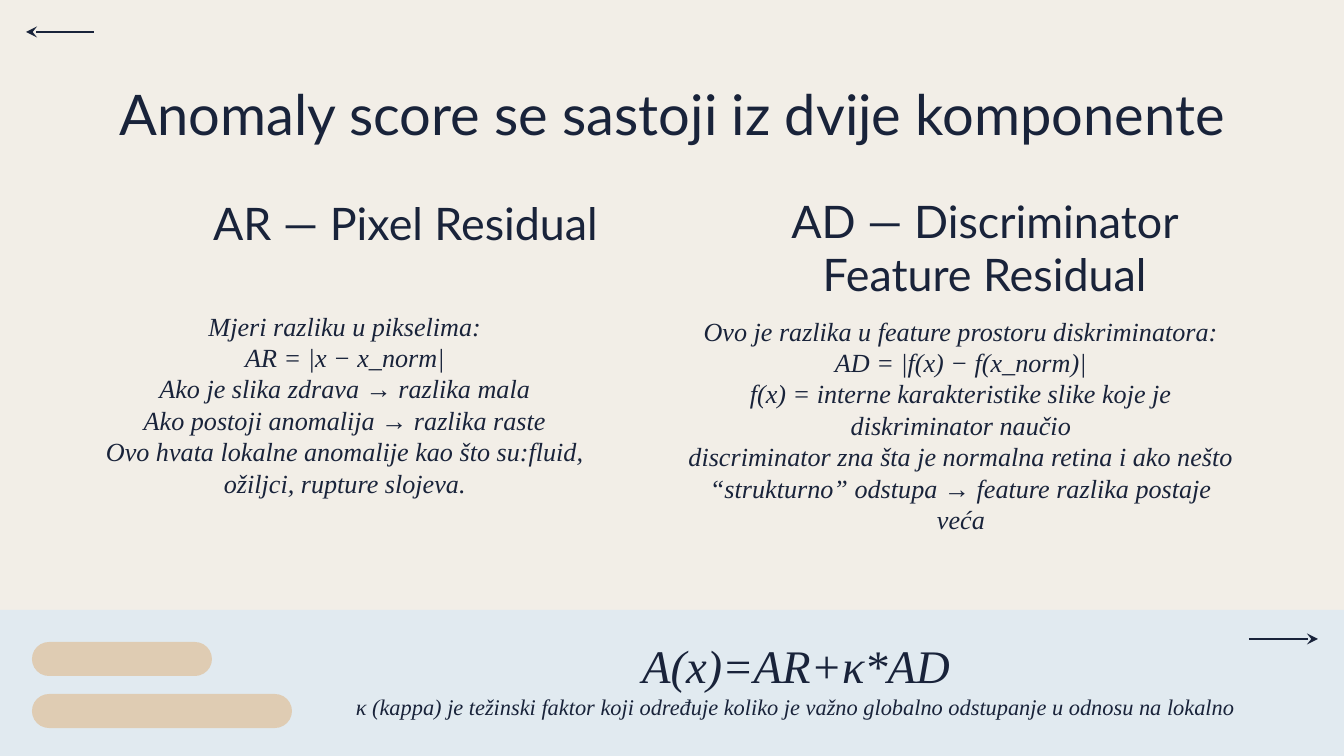
from lxml import etree
from pptx import Presentation
from pptx.dml.color import RGBColor
from pptx.enum.dml import MSO_LINE
from pptx.enum.shapes import MSO_CONNECTOR, MSO_SHAPE
from pptx.enum.text import MSO_ANCHOR, MSO_AUTO_SIZE, PP_ALIGN
from pptx.oxml.ns import qn
from pptx.util import Pt

SCALE = 914400 / 134.4
WIDTH, HEIGHT = 1344, 756
INSET = 13
PAPER = RGBColor(0xF2, 0xEE, 0xE7)
SKY = RGBColor(0xE1, 0xEA, 0xF0)
SAND = RGBColor(0xDF, 0xCC, 0xB3)
INK = RGBColor(0x19, 0x23, 0x3A)
SANS, SERIF = "Lato", "Times New Roman"
RECT, ROUND = MSO_SHAPE.RECTANGLE, MSO_SHAPE.ROUNDED_RECTANGLE
LINE, SOLID = MSO_CONNECTOR.STRAIGHT, MSO_LINE.SOLID
TOP, BOTTOM = MSO_ANCHOR.TOP, MSO_ANCHOR.BOTTOM
CENTER, NO_FIT = PP_ALIGN.CENTER, MSO_AUTO_SIZE.NONE

LEFT = [
    "Mjeri razliku u pikselima:",
    "AR = |x − x_norm|",
    "Ako je slika zdrava → razlika mala",
    "Ako postoji anomalija → razlika raste",
    "Ovo hvata lokalne anomalije kao što su:fluid, ožiljci, rupture slojeva.",
]
RIGHT = [
    "Ovo je razlika u feature prostoru diskriminatora:",
    "AD = |f(x) − f(x_norm)|",
    "f(x) = interne karakteristike slike koje je diskriminator naučio",
    "discriminator zna šta je normalna retina i ako nešto “strukturno” "
    "odstupa → feature razlika postaje veća",
]
SCORE = [
    "A(x)=AR+κ*AD",
    "κ (kappa) je težinski faktor koji određuje koliko je važno globalno "
    "odstupanje u odnosu na lokalno",
]


def px(n):
    return round(n * SCALE)


def place(shape, box):
    shape.left, shape.top, shape.width, shape.height = map(px, box)


def write(shape, lines, sizes, font=SERIF, italic=True, anchor=TOP,
          space=1.0, shift=0):
    frame = shape.text_frame
    frame.word_wrap = True
    frame.auto_size = NO_FIT
    frame.vertical_anchor = anchor
    frame.margin_left = frame.margin_right = px(INSET)
    frame.margin_top = frame.margin_bottom = px(INSET)
    frame.text = "\n".join(lines)
    for i, para in enumerate(frame.paragraphs):
        props = para._p.get_or_add_pPr()
        props.set("marL", "0")
        props.set("indent", "0")
        if shift and i == 0:
            props.set("marR", str(px(shift)))
        etree.SubElement(props, qn("a:buNone"))
        para.alignment = CENTER
        para.line_spacing = space
        para.space_before = para.space_after = Pt(0)
        for run in para.runs:
            run.font.name = font
            run.font.size = Pt(sizes[min(i, len(sizes) - 1)])
            run.font.italic = italic
            run.font.bold = False
            run.font.color.rgb = INK


def block(slide, kind, box, color):
    shape = slide.shapes.add_shape(kind, *map(px, box))
    shape.shadow.inherit = False
    shape.fill.solid()
    shape.fill.fore_color.rgb = color
    shape.line.fill.background()
    if kind == ROUND:
        shape.adjustments[0] = 0.5


def arrow(slide, start, end, y):
    line = slide.shapes.add_connector(LINE, px(start), px(y), px(end), px(y))
    line.line.color.rgb = INK
    line.line.width = Pt(0.75)
    line.line.dash_style = SOLID
    etree.SubElement(line.line._get_or_add_ln(), qn("a:tailEnd"), type="stealth")
    etree.SubElement(line._element.spPr, qn("a:effectLst"))


def main():
    deck = Presentation()
    deck.slide_width, deck.slide_height = px(WIDTH), px(HEIGHT)
    slide = deck.slides.add_slide(deck.slide_layouts[4])
    slide.background.fill.solid()
    slide.background.fill.fore_color.rgb = PAPER
    title, head_l, body_l, head_r, body_r = slide.placeholders

    block(slide, RECT, (0, 610, WIDTH, 146), SKY)
    for y, width in ((694, 260), (642, 180)):
        block(slide, ROUND, (32, y, width, 34), SAND)

    place(title, (26, 79, 1293, 85))
    write(title, ["Anomaly score se sastoji iz dvije komponente"], [30],
          font=SANS, italic=False, space=0.8)

    heads = (
        (head_l, "AR — Pixel Residual", (184, 180, 443, 82)),
        (head_r, "AD — Discriminator Feature Residual", (763, 180, 443, 134)),
    )
    for shape, text, box in heads:
        place(shape, box)
        write(shape, [text], [24], font=SANS, italic=False, anchor=BOTTOM)

    bodies = (
        (body_l, LEFT, (70, 297, 602, 238)),
        (body_r, RIGHT, (672, 302, 630, 238)),
    )
    for shape, lines, box in bodies:
        place(shape, box)
        write(shape, lines, [14], shift=52)

    arrow(slide, 1249, 1318, 639)
    arrow(slide, 94, 26, 32)
    score = slide.shapes.add_textbox(*map(px, (290, 624, 1012, 158)))
    write(score, SCORE, [25, 12])

    deck.save("out.pptx")


if __name__ == "__main__":
    main()
